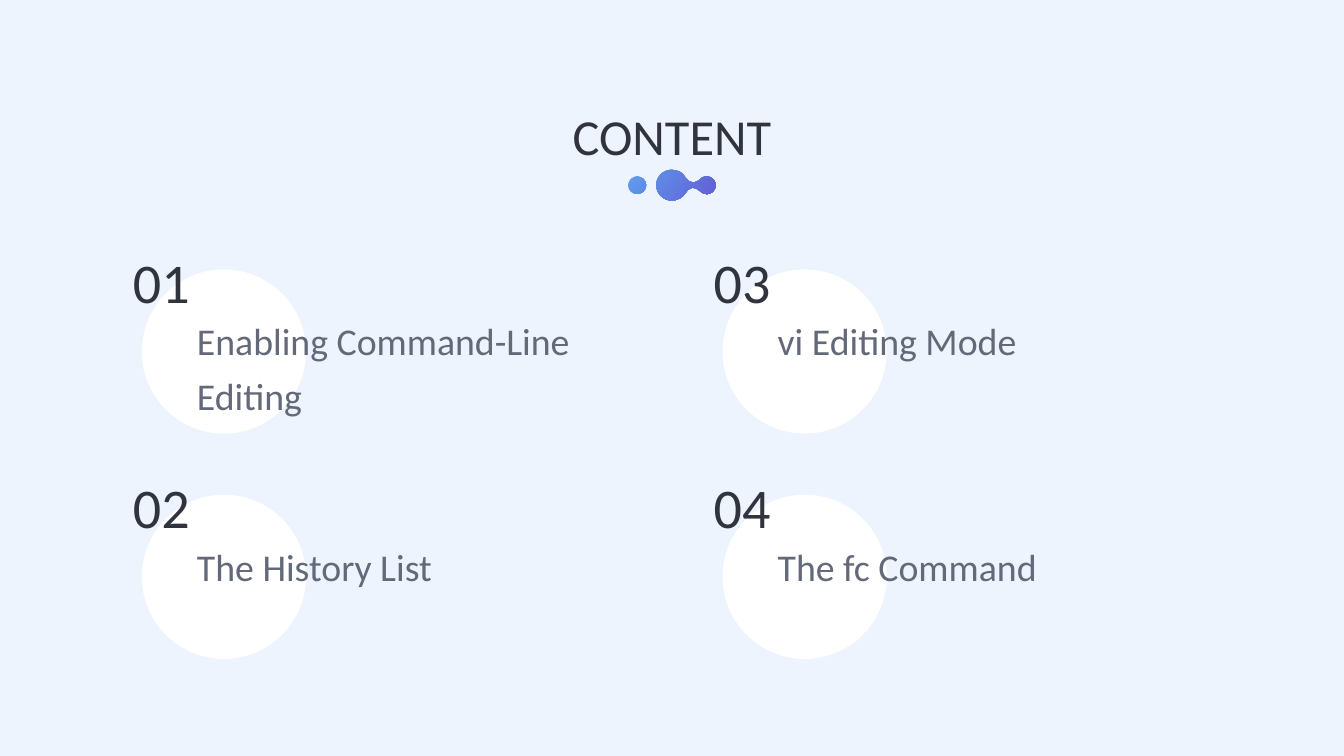
import dataclasses
import typing

import lxml.etree
import pptx
import pptx.dml.color
import pptx.enum.shapes
import pptx.enum.text
import pptx.oxml.ns
import pptx.util

RGBColor = pptx.dml.color.RGBColor
BACKGROUND = RGBColor(0xED, 0xF4, 0xFD)
WHITE = RGBColor(0xFF, 0xFF, 0xFF)
INK = RGBColor(0x31, 0x33, 0x3D)
GREY = RGBColor(0x64, 0x69, 0x79)
SKY = RGBColor(0x5E, 0x9E, 0xEE)
VIOLET = RGBColor(0x63, 0x5E, 0xD6)

SLIDE_WIDTH = pptx.util.Inches(26.67)
SLIDE_HEIGHT = pptx.util.Inches(15)
FONT = "Calibri"
INSET = pptx.util.Inches(0.06)
FIRST_COLUMN, COLUMN_PITCH = 9.67, 43.21
FIRST_ROW, ROW_PITCH = 32.4, 29.8


@dataclasses.dataclass(frozen=True)
class Box:
    """Percentages of the slide's width and height."""

    left: float
    top: float
    width: float
    height: float

    def shifted(self, across: float, down: float) -> "Box":
        return Box(self.left + across, self.top + down, self.width, self.height)

    def emu(self) -> tuple[int, int, int, int]:
        return (
            round(SLIDE_WIDTH * self.left / 100),
            round(SLIDE_HEIGHT * self.top / 100),
            round(SLIDE_WIDTH * self.width / 100),
            round(SLIDE_HEIGHT * self.height / 100),
        )


@dataclasses.dataclass(frozen=True)
class Topic:
    number: str
    caption: str
    column: int
    row: int
    lines: int = 1


class Outline(typing.NamedTuple):
    start: tuple[int, int]
    curves: list[tuple[int, int, int, int, int, int]]


TITLE = Box(31.31, 13.47, 37.38, 8.8)
ORNAMENT = Box(46.76, 22.47, 6.45, 4.07)
ORNAMENT_UNITS = (172, 61)
NUMBER = Box(0, 0, 8.89, 9.47)
DISC = Box(0.88, 3.23, 12.22, 21.73)
CAPTION = Box(4.76, 8.07, 33.33, 8)
EXTRA_LINE = 7.27

TOPICS = [
    Topic("01", "Enabling Command-Line Editing", 0, 0, lines=2),
    Topic("02", "The History List", 0, 1),
    Topic("03", "vi Editing Mode", 1, 0),
    Topic("04", "The fc Command", 1, 1),
]

LINKED_DROPS = Outline((87, 0), [
    (70, -1, 55, 13, 55, 30), (55, 47, 69, 60, 85, 61),
    (97, 61, 108, 55, 114, 45), (116, 41, 120, 38, 124, 36),
    (131, 35, 138, 37, 142, 42), (153, 54, 172, 47, 173, 31),
    (173, 14, 152, 7, 142, 19), (138, 23, 133, 25, 128, 25),
    (122, 25, 116, 21, 113, 15), (108, 6, 98, 0, 87, 0),
])
SINGLE_DROP = Outline((17, 13), [
    (13, 13, 9, 15, 5, 18), (-2, 25, -2, 36, 5, 43),
    (12, 49, 23, 49, 30, 43), (37, 36, 37, 25, 30, 18),
    (26, 15, 22, 13, 17, 13),
])


def write(frame, text: str, size: int, color: RGBColor, anchor) -> typing.Any:
    frame.text = text
    frame.word_wrap = True
    frame.auto_size = pptx.enum.text.MSO_AUTO_SIZE.SHAPE_TO_FIT_TEXT
    frame.vertical_anchor = anchor
    frame.margin_left = frame.margin_right = INSET
    frame.margin_top = frame.margin_bottom = INSET
    paragraph = frame.paragraphs[0]
    font = paragraph.runs[0].font
    font.name = FONT
    font.size = pptx.util.Pt(size)
    font.color.rgb = color
    return paragraph


def draw_title(slide) -> None:
    title = slide.shapes.title
    title.left, title.top, title.width, title.height = TITLE.emu()
    paragraph = write(title.text_frame, "CONTENT", 72, INK,
                      pptx.enum.text.MSO_ANCHOR.MIDDLE)
    paragraph.alignment = pptx.enum.text.PP_ALIGN.CENTER


def add_step(contour, tag: str, coordinates: tuple[int, ...]) -> None:
    qn = pptx.oxml.ns.qn
    step = lxml.etree.SubElement(contour, qn(tag))
    for x, y in zip(coordinates[::2], coordinates[1::2]):
        lxml.etree.SubElement(step, qn("a:pt"), x=str(x), y=str(y))


def curve_contour(shape, outlines: list[Outline]) -> None:
    contour = next(shape.element.iter(pptx.oxml.ns.qn("a:path")))
    for step in list(contour):
        contour.remove(step)
    for side, units in zip(("w", "h"), ORNAMENT_UNITS):
        contour.set(side, str(units))
    for outline in outlines:
        add_step(contour, "a:moveTo", outline.start)
        for curve in outline.curves:
            add_step(contour, "a:cubicBezTo", curve)
        add_step(contour, "a:close", ())


def draw_ornament(slide) -> None:
    builder = slide.shapes.build_freeform(0, 0)
    builder.add_line_segments([ORNAMENT_UNITS])
    ornament = builder.convert_to_shape()
    curve_contour(ornament, [LINKED_DROPS, SINGLE_DROP])
    (ornament.left, ornament.top,
     ornament.width, ornament.height) = ORNAMENT.emu()
    ornament.shadow.inherit = False
    ornament.line.fill.background()
    ornament.fill.gradient()
    ornament.fill.gradient_angle = 360 - 34
    for stop, color in zip(ornament.fill.gradient_stops, (SKY, VIOLET)):
        stop.color.rgb = color


def draw_topic(slide, topic: Topic) -> None:
    across = FIRST_COLUMN + topic.column * COLUMN_PITCH
    down = FIRST_ROW + topic.row * ROW_PITCH
    group = slide.shapes.add_group_shape().shapes

    disc = group.add_shape(pptx.enum.shapes.MSO_SHAPE.OVAL,
                           *DISC.shifted(across, down).emu())
    disc.shadow.inherit = False
    disc.fill.solid()
    disc.fill.fore_color.rgb = WHITE
    disc.line.fill.background()

    number = group.add_textbox(*NUMBER.shifted(across, down).emu())
    write(number.text_frame, topic.number, 80, INK,
          pptx.enum.text.MSO_ANCHOR.MIDDLE)

    height = CAPTION.height + (topic.lines - 1) * EXTRA_LINE
    area = dataclasses.replace(CAPTION, height=height)
    caption = group.add_textbox(*area.shifted(across, down).emu())
    paragraph = write(caption.text_frame, topic.caption, 54, GREY,
                      pptx.enum.text.MSO_ANCHOR.TOP)
    paragraph.line_spacing = 1.2
    paragraph.space_before = pptx.util.Pt(20)


def main() -> None:
    deck = pptx.Presentation()
    deck.slide_width, deck.slide_height = SLIDE_WIDTH, SLIDE_HEIGHT
    slide = deck.slides.add_slide(deck.slide_layouts.get_by_name("Title Only"))
    slide.background.fill.solid()
    slide.background.fill.fore_color.rgb = BACKGROUND
    draw_title(slide)
    draw_ornament(slide)
    for topic in TOPICS:
        draw_topic(slide, topic)
    deck.save("out.pptx")


if __name__ == "__main__":
    main()
